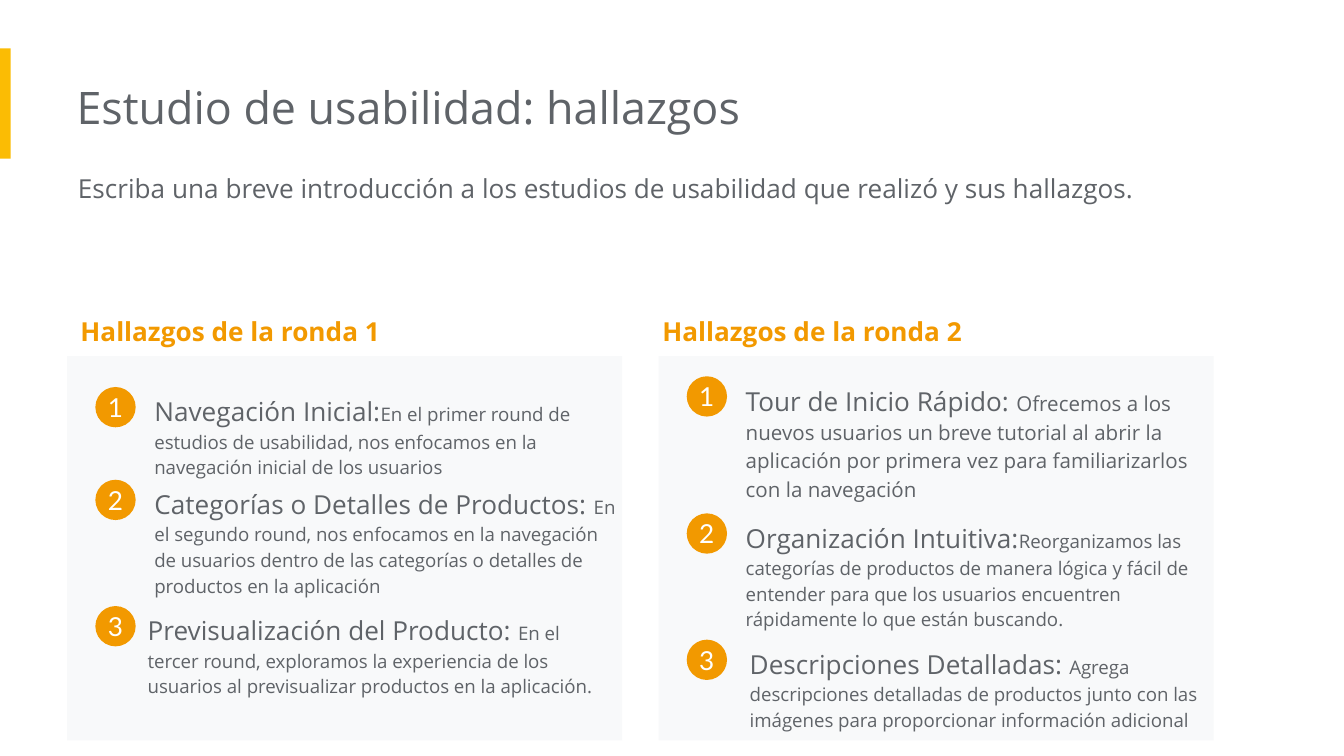
from lxml import etree
from pptx import Presentation
from pptx.dml.color import RGBColor
from pptx.enum.shapes import MSO_SHAPE
from pptx.enum.text import MSO_ANCHOR, MSO_AUTO_SIZE, PP_ALIGN
from pptx.oxml.ns import qn
from pptx.util import Inches, Pt

GREY = "5F6368"
ORANGE = "F29900"
YELLOW = "FBBC04"
PANEL = "F8F9FA"
WHITE = "FFFFFF"
BODY_FONT = "Open Sans"
TEXT_WIDTH = 3.65

# Each finding: text left offset in the panel, top, height, heading, detail, detail size
ROUND_1 = [
    (0.55, 2.81, 2.99, "Navegación Inicial:",
     "En el primer round de estudios de usabilidad, nos enfocamos en la "
     "navegación inicial de los usuarios", 10),
    (0.55, 3.5, 1.03, "Categorías o Detalles de Productos: ",
     "En el segundo round, nos enfocamos en la navegación de usuarios dentro "
     "de las categorías o detalles de productos en la aplicación", 10),
    (0.5, 4.44, 0.83, "Previsualización del Producto: ",
     "En el tercer round, exploramos la experiencia de los usuarios al "
     "previsualizar productos en la aplicación.", 10),
]
ROUND_2 = [
    (0.55, 2.73, 2.97, "Tour de Inicio Rápido: ",
     "Ofrecemos a los nuevos usuarios un breve tutorial al abrir la aplicación "
     "por primera vez para familiarizarlos con la navegación", 11),
    (0.55, 3.75, 1.03, "Organización Intuitiva:",
     "Reorganizamos las categorías de productos de manera lógica y fácil de "
     "entender para que los usuarios encuentren rápidamente lo que están "
     "buscando.", 10),
    (0.58, 4.69, 1.1, "Descripciones Detalladas: ",
     "Agrega descripciones detalladas de productos junto con las imágenes para "
     "proporcionar información adicional", 10),
]


def rgb(value):
    return RGBColor.from_string(value)


def style_font(font, size, color, name=BODY_FONT, bold=False):
    font.name = name
    font.size = Pt(size)
    font.bold = bold
    font.color.rgb = rgb(color)


def set_frame(frame, left_inset=0.1):
    frame.word_wrap = True
    frame.auto_size = MSO_AUTO_SIZE.NONE
    frame.vertical_anchor = MSO_ANCHOR.TOP
    frame.margin_left = Inches(left_inset)
    frame.margin_right = frame.margin_top = frame.margin_bottom = Inches(0.1)


def fill_placeholder(holder, text, left, top, width, height, size, spacing):
    holder.left, holder.top = Inches(left), Inches(top)
    holder.width, holder.height = Inches(width), Inches(height)
    set_frame(holder.text_frame, left_inset=0)
    holder.text_frame.text = text
    paragraph = holder.text_frame.paragraphs[0]
    paragraph.alignment = PP_ALIGN.LEFT
    paragraph.line_spacing = spacing
    paragraph.space_before = Pt(0)
    properties = paragraph._p.get_or_add_pPr()
    properties.set("marL", "0")
    properties.set("indent", "0")
    etree.SubElement(properties, qn("a:buNone"))
    style_font(paragraph.font, size, GREY)


def add_block(slide, kind, left, top, width, height, color):
    block = slide.shapes.add_shape(
        kind, Inches(left), Inches(top), Inches(width), Inches(height))
    block.shadow.inherit = False
    block.fill.solid()
    block.fill.fore_color.rgb = rgb(color)
    block.line.fill.background()
    return block


def add_text(slide, left, top, height):
    box = slide.shapes.add_textbox(
        Inches(left), Inches(top), Inches(TEXT_WIDTH), Inches(height))
    set_frame(box.text_frame)
    paragraph = box.text_frame.paragraphs[0]
    paragraph.line_spacing = 1.15
    return paragraph


def add_badge(slide, number, left, top):
    badge = add_block(slide, MSO_SHAPE.OVAL, left, top, 0.3, 0.3, ORANGE)
    frame = badge.text_frame
    frame.margin_left = frame.margin_right = 0
    frame.margin_top = frame.margin_bottom = 0
    frame.vertical_anchor = MSO_ANCHOR.MIDDLE
    frame.text = str(number)
    paragraph = frame.paragraphs[0]
    paragraph.alignment = PP_ALIGN.CENTER
    style_font(paragraph.font, 14, WHITE, name="Lato")


def add_round(slide, panel_left, heading_left, heading_height, heading, findings):
    add_block(slide, MSO_SHAPE.RECTANGLE, panel_left, 2.65, 4.13, 2.86, PANEL)
    title = add_text(slide, heading_left, 2.21, heading_height)
    title.text = heading
    style_font(title.font, 14, ORANGE, bold=True)

    for number, finding in enumerate(findings, start=1):
        offset, top, height, name, detail, detail_size = finding
        paragraph = add_text(slide, panel_left + offset, top, height)
        for text, size in ((name, 14), (detail, detail_size)):
            run = paragraph.add_run()
            run.text = text
            style_font(run.font, size, GREY)
        add_badge(slide, number, panel_left + 0.21, top + 0.07)


def main():
    presentation = Presentation()
    presentation.slide_width = Inches(10)
    presentation.slide_height = Inches(10 * 9 / 16)
    slide = presentation.slides.add_slide(presentation.slide_layouts[1])

    # Accent bar, title and introduction
    add_block(slide, MSO_SHAPE.RECTANGLE, 0, 0.36, 0.08, 0.82, YELLOW)
    fill_placeholder(slide.shapes.title, "Estudio de usabilidad: hallazgos",
                     0.57, 0.49, 6.73, 0.61, size=24, spacing=1)
    fill_placeholder(slide.placeholders[1],
                     "Escriba una breve introducción a los estudios de "
                     "usabilidad que realizó y sus hallazgos.",
                     0.58, 1.15, 8.61, 0.71, size=14, spacing=1.15)

    # Findings of both rounds
    add_round(slide, 0.5, 0.5, 0.44, "Hallazgos de la ronda 1", ROUND_1)
    add_round(slide, 4.9, 4.83, 0.71, "Hallazgos de la ronda 2", ROUND_2)

    presentation.save("out.pptx")


if __name__ == "__main__":
    main()
